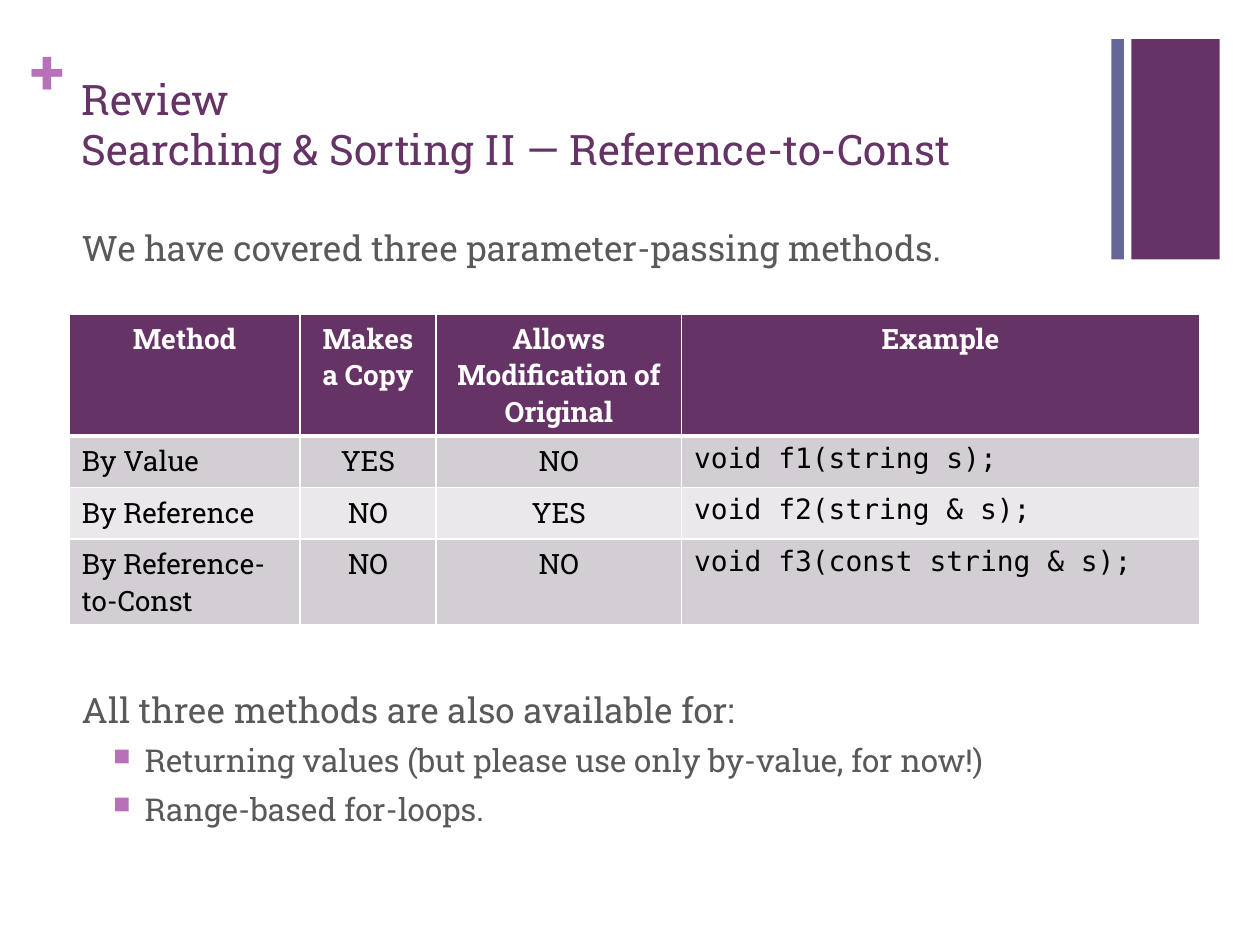
"""Build the review slide on parameter-passing methods."""
from dataclasses import dataclass

from lxml import etree
from pptx import Presentation
from pptx import util as u
from pptx.dml.color import RGBColor
from pptx.enum import shapes, text
from pptx.oxml import ns


@dataclass(frozen=True)
class Theme:
    font: str = "Roboto Slab"
    mono: str = "DejaVu Sans Mono"
    purple: str = "663366"
    slate: str = "666699"
    orchid: str = "B870B8"
    grey: str = "595959"
    white: str = "FFFFFF"
    black: str = "000000"
    bands: tuple = ("D3CED3", "EAE8EA")
    plus_size: int = 36
    title_size: int = 24
    body_size: int = 20
    bullet_size: int = 18
    table_size: int = 16


THEME = Theme()
COLUMN_WIDTHS = (1.83, 1.08, 1.95, 4.11)
ROW_HEIGHTS = (0.97, 0.41, 0.41, 0.68)
METHODS = (
    ("Method", "Makes a Copy", "Allows Modification of Original", "Example"),
    ("By Value", "YES", "NO", "void f1(string s);"),
    ("By Reference", "NO", "YES", "void f2(string & s);"),
    ("By Reference-to-Const", "NO", "NO", "void f3(const string & s);"),
)


def inches(*lengths):
    return [u.Inches(length) for length in lengths]


def add_xml(parent, tag, **attributes):
    return etree.SubElement(parent, ns.qn(tag), attributes)


def write(para, words, *, size, color, font=THEME.font, bold=False,
          align=text.PP_ALIGN.LEFT, before=0):
    para.alignment = align
    para.space_before = u.Pt(before)
    for index, line in enumerate(words.split("\n")):
        if index:
            para.add_line_break()
        span = para.add_run()
        span.text = line
        span.font.name = font
        span.font.size = u.Pt(size)
        span.font.bold = bold
        span.font.color.rgb = RGBColor.from_string(color)


def add_bar(page, left, width, color):
    bar = page.shapes.add_shape(shapes.MSO_SHAPE.RECTANGLE,
                                *inches(left, 0.31, width, 1.75))
    bar.shadow.inherit = False
    bar.fill.solid()
    bar.fill.fore_color.rgb = RGBColor.from_string(color)
    bar.line.fill.background()


def add_plus(page):
    frame = page.shapes.add_textbox(*inches(0.24, 0.25, 0.29, 0.61)).text_frame
    frame.word_wrap = True
    frame.margin_left = frame.margin_right = 0
    frame.margin_top = frame.margin_bottom = 0
    write(frame.paragraphs[0], "+", size=THEME.plus_size,
          color=THEME.orchid, bold=True)


def set_title(page, words):
    title = page.shapes.title
    title.left, title.top, title.width, title.height = inches(0.55, 0.53, 8.26, 1.05)
    frame = title.text_frame
    frame.auto_size = text.MSO_AUTO_SIZE.NONE
    frame.vertical_anchor = text.MSO_ANCHOR.TOP
    write(frame.paragraphs[0], words, size=THEME.title_size, color=THEME.purple)


def add_bullet(para):
    properties = para._p.get_or_add_pPr()
    properties.set("marL", str(u.Inches(0.5)))
    properties.set("indent", str(u.Inches(-0.25)))
    add_xml(add_xml(properties, "a:buClr"), "a:srgbClr", val=THEME.orchid)
    add_xml(properties, "a:buSzPct", val="75000")
    add_xml(properties, "a:buChar", char="■")


def add_body(page):
    frame = page.shapes.add_textbox(*inches(0.55, 1.75, 8.26, 5.17)).text_frame
    frame.word_wrap = True
    statement = dict(size=THEME.body_size, color=THEME.grey)
    write(frame.paragraphs[0], "We have covered three parameter-passing methods.",
          before=20, **statement)
    write(frame.add_paragraph(), "All three methods are also available for:",
          before=240, **statement)
    for words in ("Returning values (but please use only by-value, for now!)",
                  "Range-based for-loops."):
        para = frame.add_paragraph()
        para.level = 1
        write(para, words, size=THEME.bullet_size, color=THEME.grey, before=6)
        add_bullet(para)


def add_borders(cell, **widths):
    properties = cell._tc.get_or_add_tcPr()
    for side, width in widths.items():
        line = add_xml(properties, f"a:ln{side}", w=str(u.Pt(width)))
        add_xml(add_xml(line, "a:solidFill"), "a:srgbClr", val=THEME.white)


def fill_cell(cell, words, row, column):
    header = row == 0
    example = column == len(COLUMN_WIDTHS) - 1
    if header:
        add_borders(cell, L=1, R=1, T=1, B=3)
    cell.fill.solid()
    cell.fill.fore_color.rgb = RGBColor.from_string(
        THEME.purple if header else THEME.bands[(row - 1) % 2])
    centered = header or column in (1, 2)
    write(cell.text_frame.paragraphs[0], words, size=THEME.table_size,
          color=THEME.white if header else THEME.black, bold=header,
          font=THEME.mono if example and not header else THEME.font,
          align=text.PP_ALIGN.CENTER if centered else text.PP_ALIGN.LEFT)


def add_methods_table(page):
    size = sum(COLUMN_WIDTHS), sum(ROW_HEIGHTS)
    table = page.shapes.add_table(len(METHODS), len(COLUMN_WIDTHS),
                                  *inches(0.55, 2.49, *size)).table
    for column, width in zip(table.columns, COLUMN_WIDTHS):
        column.width = u.Inches(width)
    for row, height in zip(table.rows, ROW_HEIGHTS):
        row.height = u.Inches(height)
    for row, values in enumerate(METHODS):
        for column, words in enumerate(values):
            fill_cell(table.cell(row, column), words, row, column)


def main():
    deck = Presentation()
    deck.slide_width, deck.slide_height = inches(10, 7.5)
    page = deck.slides.add_slide(deck.slide_layouts[5])
    add_bar(page, 8.98, 0.7, THEME.purple)
    add_plus(page)
    add_bar(page, 8.82, 0.1, THEME.slate)
    set_title(page, "Review\nSearching & Sorting II — Reference-to-Const")
    add_body(page)
    add_methods_table(page)
    deck.save("out.pptx")


if __name__ == "__main__":
    main()
